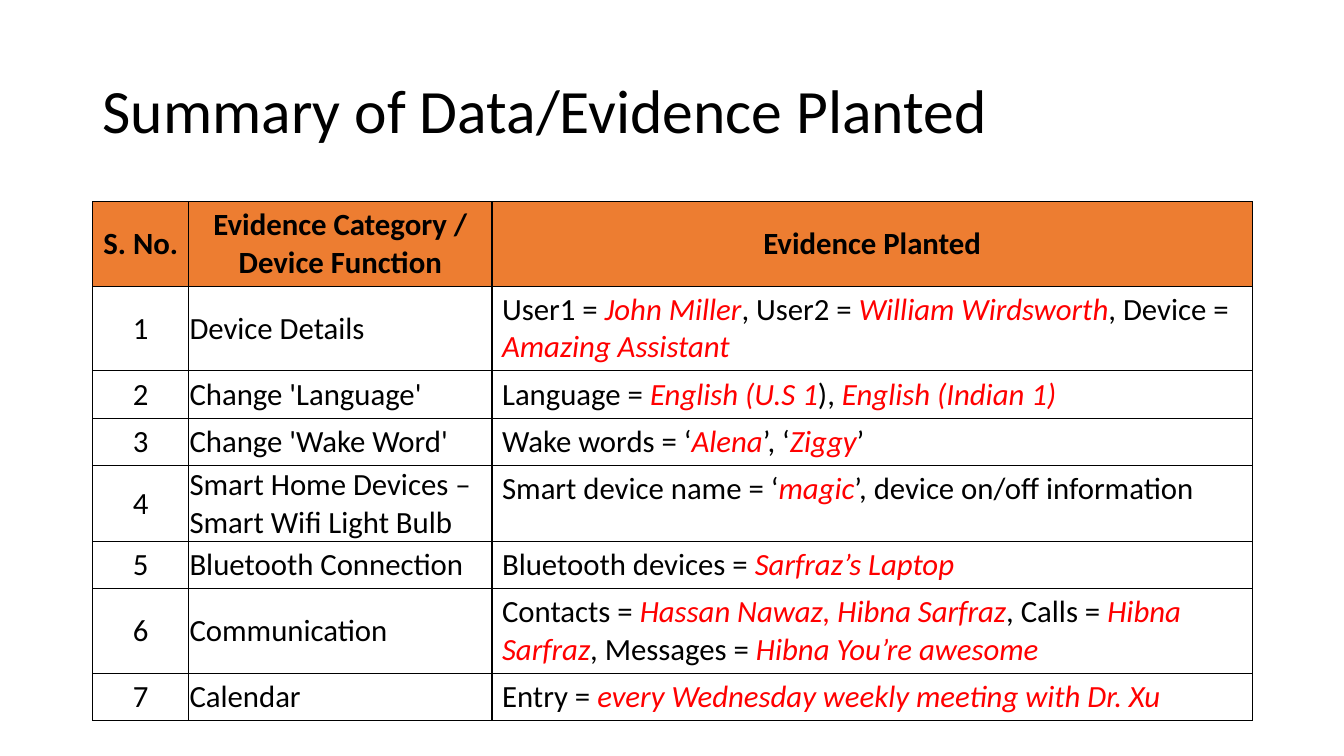
"""Build the slide that summarises the evidence planted on the device."""
import pptx
import pptx.util
import pptx.dml.color
import pptx.enum.text
import pptx.oxml
import pptx.oxml.ns
from pptx.util import Inches

BLACK, RED, ORANGE, WHITE = "000000", "FF0000", "ED7D31", "FFFFFF"
MIDDLE = pptx.enum.text.MSO_ANCHOR.MIDDLE
CENTER = pptx.enum.text.PP_ALIGN.CENTER
LEFT = pptx.enum.text.PP_ALIGN.LEFT


def color(value):
    return pptx.dml.color.RGBColor.from_string(value)


def add_run(paragraph, text, size, value=BLACK, bold=False, italic=False):
    run = paragraph.add_run()
    run.text = text
    run.font.name = "Calibri"
    run.font.size = pptx.util.Pt(size)
    run.font.color.rgb = color(value)
    run.font.bold = bold
    run.font.italic = italic


presentation = pptx.Presentation()
presentation.slide_width = Inches(13.33)
presentation.slide_height = Inches(7.5)
slide = presentation.slides.add_slide(presentation.slide_layouts[6])

title = slide.shapes.add_textbox(Inches(0.92), Inches(0.4), Inches(11.5), Inches(1.45))
title.text_frame.word_wrap = True
title.text_frame.vertical_anchor = MIDDLE
title_paragraph = title.text_frame.paragraphs[0]
title_paragraph.line_spacing = 0.9
add_run(title_paragraph, "Summary of Data/Evidence Planted", 44)

# Asterisks enclose the planted values, which are red and italic.
rows = [
    (0.84, "S. No.", "Evidence Category / Device Function", "Evidence Planted"),
    (0.84, "1", "Device Details",
     "User1 = *John Miller*, User2 = *William Wirdsworth*, Device = *Amazing Assistant*"),
    (0.47, "2", "Change 'Language'", "Language = *English (U.S 1*), *English (Indian 1)*"),
    (0.47, "3", "Change 'Wake Word'", "Wake words = ‘*Alena*’, ‘*Ziggy*’"),
    (0.75, "4", "Smart Home Devices – Smart Wifi Light Bulb",
     "Smart device name = ‘*magic*’, device on/off information"),
    (0.47, "5", "Bluetooth Connection", "Bluetooth devices = *Sarfraz’s Laptop*"),
    (0.84, "6", "Communication",
     "Contacts = *Hassan Nawaz, Hibna Sarfraz*, Calls = *Hibna Sarfraz*, "
     "Messages = *Hibna You’re awesome*"),
    (0.47, "7", "Calendar", "Entry = *every Wednesday weekly meeting with Dr. Xu*"),
]
widths = [0.95, 3.01, 7.54]

frame = slide.shapes.add_table(
    len(rows), len(widths), Inches(0.92), Inches(2), Inches(11.5), Inches(5.15))
table = frame.table
table.first_row = False
table.horz_banding = False
for column, width in zip(table.columns, widths):
    column.width = Inches(width)

for row_index, (height, *texts) in enumerate(rows):
    table.rows[row_index].height = Inches(height)
    header = row_index == 0
    for column_index, text in enumerate(texts):
        cell = table.cell(row_index, column_index)
        evidence = column_index == 2
        if header or not evidence:
            cell.vertical_anchor = MIDDLE
        if not header and not evidence:
            cell.margin_left = cell.margin_right = cell.margin_top = Inches(0.01)
            cell.margin_bottom = 0

        paragraph = cell.text_frame.paragraphs[0]
        paragraph.alignment = CENTER if header or column_index == 0 else LEFT
        for part_index, part in enumerate(text.split("*")):
            planted = part_index % 2 == 1
            if part:
                add_run(paragraph, part, 22, RED if planted else BLACK, header, planted)

        properties = cell._tc.get_or_add_tcPr()
        for side in ("lnL", "lnR", "lnT", "lnB"):
            properties.append(pptx.oxml.parse_xml(
                f'<a:{side} {pptx.oxml.ns.nsdecls("a")} w="12700"><a:solidFill>'
                f'<a:srgbClr val="{BLACK}"/></a:solidFill></a:{side}>'))
        cell.fill.solid()
        cell.fill.fore_color.rgb = color(ORANGE if header else WHITE)

presentation.save("out.pptx")
